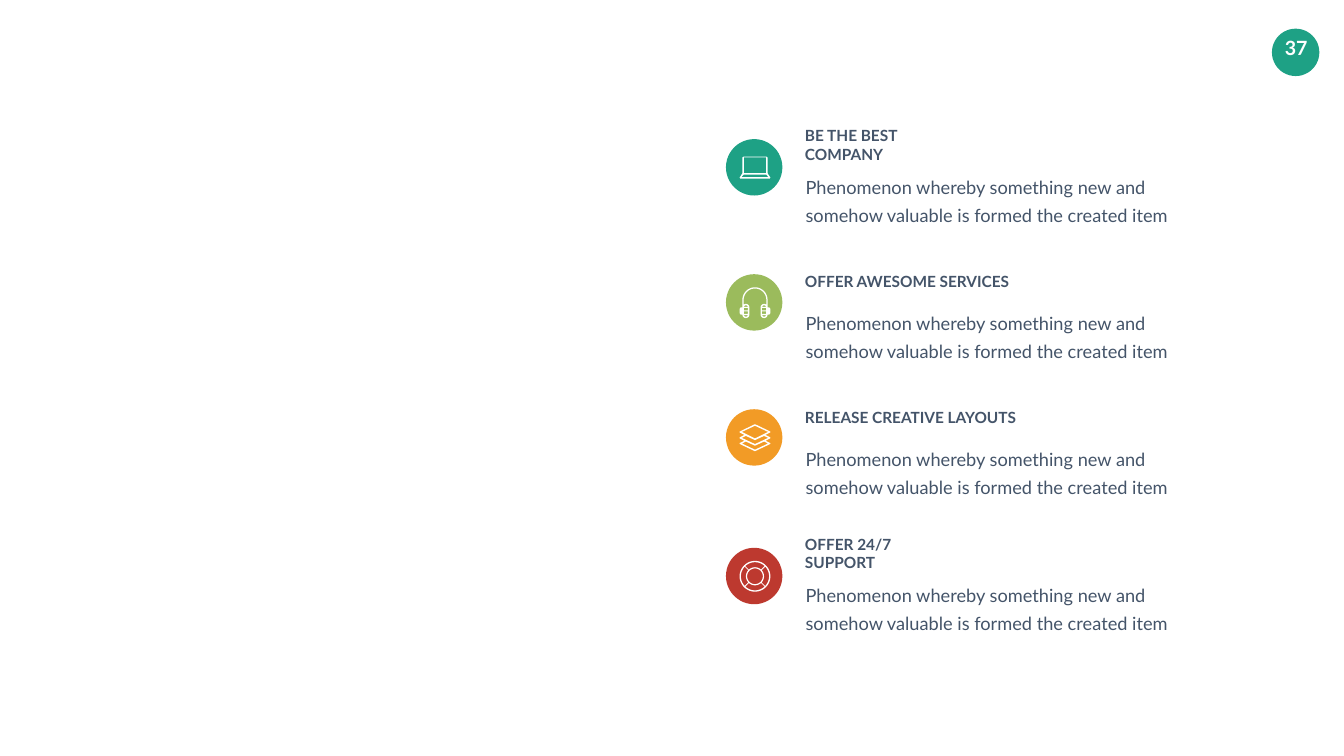
from math import cos, radians, sin

from pptx import Presentation
from pptx.dml.color import RGBColor
from pptx.enum import shapes, text
from pptx.util import Pt

FONT = "Lato"
TEAL, GREEN, ORANGE, RED = "1EA185", "9BBB5C", "F29B26", "BD392F"
SLATE, WHITE = "445469", "FFFFFF"
BODY = "Phenomenon whereby something new and somehow valuable is formed the created item"
BADGE_LEFT, BADGE_SIZE = 1036.8, 80.6
FIRST_HEADING_TOP, ROW_PITCH = 190.1, 194.4


def color(value):
    return RGBColor.from_string(value)


def paint(shape, fill):
    shape.shadow.inherit = False
    shape.fill.solid()
    shape.fill.fore_color.rgb = color(fill)
    shape.line.fill.background()


def add_circle(page, left, top, size, fill):
    circle = page.shapes.add_shape(
        shapes.MSO_SHAPE.OVAL, Pt(left), Pt(top), Pt(size), Pt(size))
    paint(circle, fill)


def add_text(page, left, top, width, height, lines, size, ink,
             bold=False, insets=(7.2, 3.6), anchor=text.MSO_ANCHOR.TOP):
    """Add a one-paragraph box, with a line break between lines."""
    box = page.shapes.add_textbox(Pt(left), Pt(top), Pt(width), Pt(height))
    frame = box.text_frame
    frame.word_wrap = True
    frame.vertical_anchor = anchor
    frame.margin_left = frame.margin_right = Pt(insets[0])
    frame.margin_top = frame.margin_bottom = Pt(insets[1])
    para = frame.paragraphs[0]
    for number, line in enumerate(lines):
        if number:
            para.add_line_break()
        span = para.add_run()
        span.text = line
        span.font.name = FONT
        span.font.size = Pt(size)
        span.font.bold = bold
        span.font.color.rgb = color(ink)
    return para


def arc(x, y, radius, start, end, steps=24):
    """Points along an arc; angles in degrees, clockwise from the right."""
    angles = [radians(start + (end - start) * i / steps) for i in range(steps + 1)]
    return [(x + radius * cos(a), y + radius * sin(a)) for a in angles]


def mirror(points):
    return [(-x, y) for x, y in points]


def symmetric(right_half):
    return right_half + mirror(right_half[::-1])


def laptop():
    return [
        symmetric([(16, -15.8), (18, -14.4), (18, 8), (22, 14.4), (21, 15.8)]),
        symmetric([(16, -14.4), (16, 8)]),
        symmetric([(16, 10), (19.4, 13.7)]),
    ]


def headphones():
    band = (arc(0, -4, 18, 180, 360) + [(18, 6.8), (16.2, 3)]
            + arc(0, -4, 16.2, 360, 180) + [(-16.2, 3), (-18, 6.8)])
    x = 13
    cup = [
        arc(x, 6.8, 5, 180, 360) + arc(x, 17, 5, 0, 180),
        arc(x, 6.8, 3, 195, 345),
        arc(x, 17, 3, 15, 165),
        [(18, 6.8), (20.5, 6.8), (22, 9), (22, 15), (20.5, 17), (18, 17)],
    ]
    for top in (7.6, 12.6):
        cup.append([(x - 3, top), (x + 3, top), (x + 3, top + 3.6), (x - 3, top + 3.6)])
    return [band] + cup + [mirror(part) for part in cup]


def layers():
    outline = symmetric([(0.5, -19.1), (22, -8.7), (22, -7.5), (15, -4), (22, -0.3),
                         (22, 0.9), (15, 4.4), (22, 7.7), (22, 8.9), (0.5, 19.1)])
    top_sheet = [(0, -17), (18.7, -8.3), (0, 1), (-18.7, -8.3)]
    lower_sheets = [
        [(0, y + 8.8), (-18.7, y), (-13, y - 2.8), (0, y + 3.2), (13, y - 2.8), (18.7, y)]
        for y in (0.3, 8.3)]
    return [outline, top_sheet] + lower_sheets


def lifebuoy():
    rim = arc(0, 0, 22, 0, 360, 72)
    hole = arc(0, 0, 11.2, 0, 360, 48)
    segments = [arc(0, 0, 20.1, mid - 43.5, mid + 43.5)
                + arc(0, 0, 12.9, mid + 42.5, mid - 42.5)
                for mid in (0, 90, 180, 270)]
    return [rim, hole] + segments


def add_icon(page, center_x, center_y, contours):
    """Draw contours, given around the centre, as one white shape with holes."""
    builder = None
    for contour in contours:
        points = [(Pt(center_x + x), Pt(center_y + y)) for x, y in contour]
        if builder is None:
            builder = page.shapes.build_freeform(*points[0], scale=1.0)
        else:
            builder.move_to(*points[0])
        builder.add_line_segments(points[1:], close=True)
    paint(builder.convert_to_shape(), WHITE)


def add_page_number(page, number):
    add_circle(page, 1816.6, 41, 67.7, TEAL)
    para = add_text(page, 1819.4, 47.5, 63.4, 48.2, [number], 28, WHITE, True)
    para.alignment = text.PP_ALIGN.CENTER


def add_feature(page, row, badge_top, fill, icon, heading):
    top = FIRST_HEADING_TOP + row * ROW_PITCH
    add_circle(page, BADGE_LEFT, badge_top, BADGE_SIZE, fill)
    middle = BADGE_SIZE / 2
    add_icon(page, BADGE_LEFT + middle + 1.2, badge_top + middle + 0.4, icon())
    add_text(page, 1142.6, top, 320, 33.8, heading, 22, SLATE, True,
             anchor=text.MSO_ANCHOR.MIDDLE)
    para = add_text(page, 1133.3, top + 43.9, 632.9, 97.9, [BODY], 26, SLATE,
                    insets=(17.3, 8.6))
    para.line_spacing = Pt(40.4)


def main():
    deck = Presentation()
    deck.slide_width, deck.slide_height = Pt(1919.52), Pt(1080)
    page = deck.slides.add_slide(deck.slide_layouts[6])
    add_page_number(page, "37")
    features = [
        (198.7, TEAL, laptop, ["BE THE BEST", "COMPANY"]),
        (391.7, GREEN, headphones, ["OFFER AWESOME SERVICES"]),
        (584.6, ORANGE, layers, ["RELEASE CREATIVE LAYOUTS"]),
        (782.6, RED, lifebuoy, ["OFFER 24/7", "SUPPORT"]),
    ]
    for row, feature in enumerate(features):
        add_feature(page, row, *feature)
    deck.save("out.pptx")


if __name__ == "__main__":
    main()
